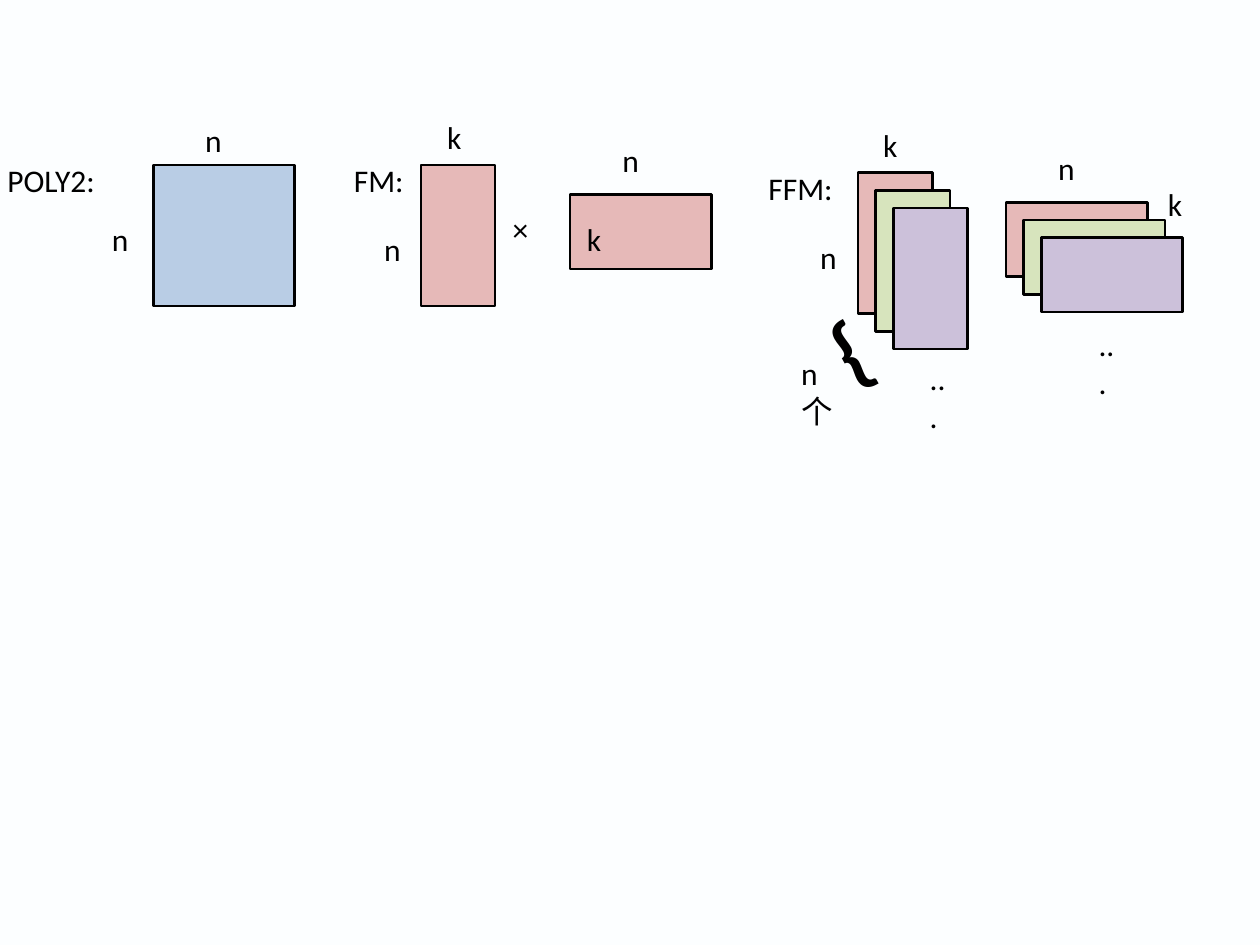
from pptx import Presentation
from pptx.dml.color import RGBColor
from pptx.enum.shapes import MSO_SHAPE as Shape
from pptx.util import Inches, Pt

BLACK = RGBColor(0x00, 0x00, 0x00)
PAPER = RGBColor(0xFC, 0xFE, 0xFF)
BLUE = RGBColor(0xB9, 0xCD, 0xE5)
PINK = RGBColor(0xE6, 0xB9, 0xB8)
GREEN = RGBColor(0xD7, 0xE4, 0xBD)
PURPLE = RGBColor(0xCC, 0xC1, 0xDA)

LONG = 1.12
SHORT = 0.59
STEP = 0.14

prs = Presentation()
prs.slide_width = Inches(10)
prs.slide_height = Inches(7.5)
slide = prs.slides.add_slide(prs.slide_layouts[6])
slide.background.fill.solid()
slide.background.fill.fore_color.rgb = PAPER


def add_block(left, top, width, color, turn=0):
    block = slide.shapes.add_shape(
        Shape.RECTANGLE, Inches(left), Inches(top), Inches(width), Inches(LONG))
    block.shadow.inherit = False
    block.rotation = turn
    block.fill.solid()
    block.fill.fore_color.rgb = color
    block.line.color.rgb = BLACK
    block.line.width = Pt(1.5)


def add_label(text, left, top, width=0.38, height=0.42, size=18, wrap=True):
    box = slide.shapes.add_textbox(
        Inches(left), Inches(top), Inches(width), Inches(height))
    box.text_frame.word_wrap = wrap
    run = box.text_frame.paragraphs[0].add_run()
    run.text = text
    run.font.name = "Calibri"
    run.font.size = Pt(size)
    run.font.color.rgb = BLACK
    return box, run


add_block(1.22, 1.31, LONG, BLUE)
add_block(3.34, 1.31, SHORT, PINK)
add_block(4.79, 1.28, SHORT, PINK, 270)
for i, color in enumerate([PINK, GREEN, PURPLE]):
    add_block(6.81 + i * STEP, 1.37 + i * STEP, SHORT, color)
    add_block(8.25 + i * STEP, 1.34 + i * STEP, SHORT, color, 270)

for name, left, top in [("POLY2:", -0.04, 1.23), ("FM:", 2.71, 1.23), ("FFM:", 6, 1.29)]:
    add_label(name, left, top, 1.22, 0.48)

for text, left, top in [
    ("n", 0.79, 1.7), ("n", 1.53, 0.91),
    ("n", 2.95, 1.78), ("k", 3.45, 0.89),
    ("k", 4.56, 1.7), ("n", 4.84, 1.07),
    ("n", 6.41, 1.84), ("k", 6.91, 0.95),
    ("k", 9.17, 1.42), ("n", 8.3, 1.13),
    ("n个", 6.26, 2.76),
]:
    add_label(text, left, top)

add_label("×", 3.97, 1.62, SHORT)
for left, top in [(7.28, 2.8), (8.62, 2.53)]:
    add_label("...", left, top, height=0.37)

brace, mark = add_label("{", 6.54, 2.24, 0.71, 1.03, 48, False)
brace.rotation = 331
mark.font.bold = True

prs.save("out.pptx")
